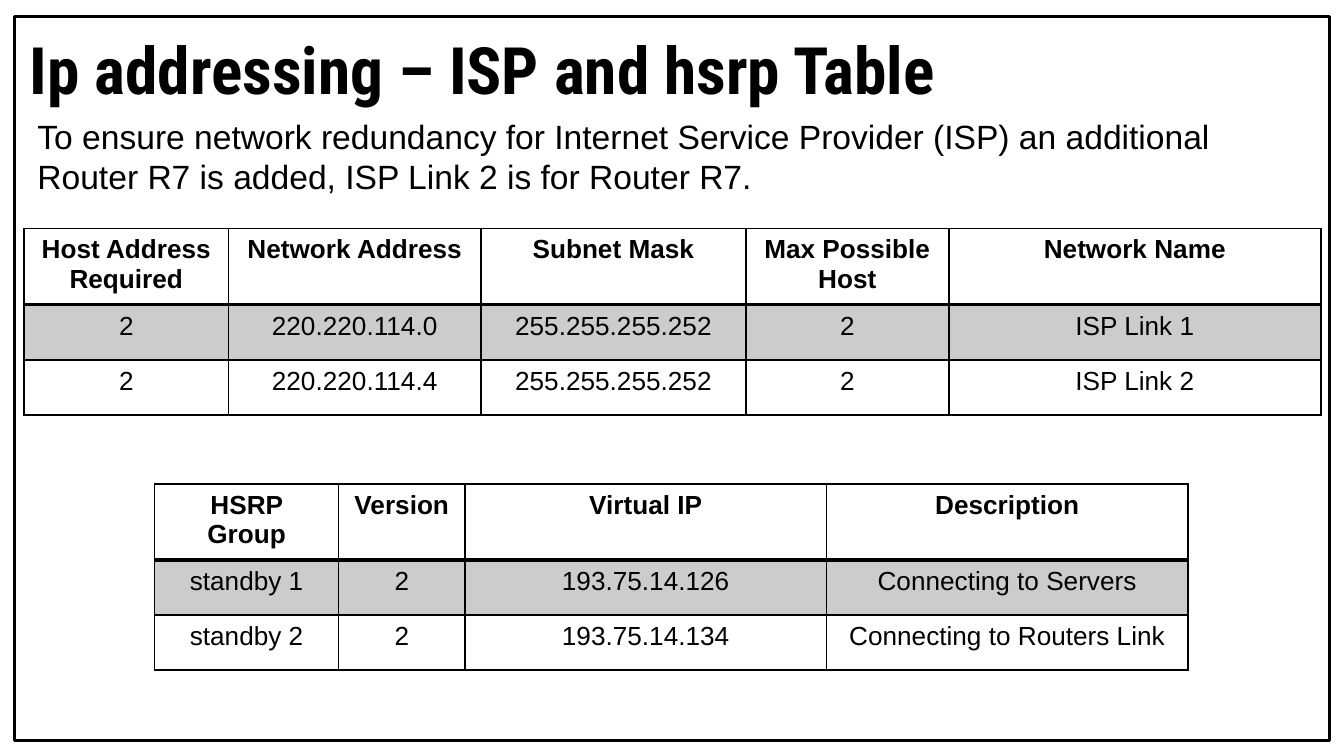
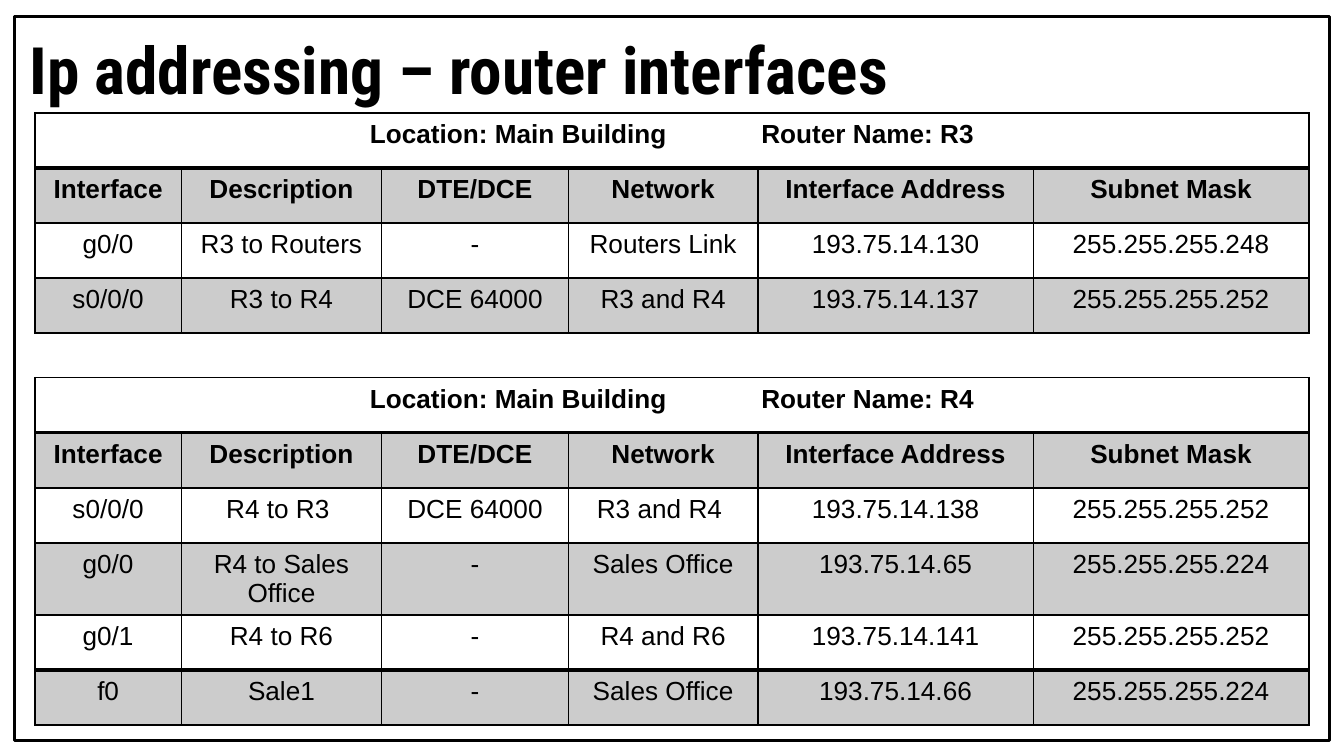
"""Build two slides of IP addressing tables."""
from lxml import etree
from pptx import Presentation
from pptx.dml.color import RGBColor
from pptx.enum import shapes, text
from pptx.oxml import ns
from pptx.util import Inches, Pt

BLACK, WHITE = "000000", "FFFFFF"
BODY_FONT, TITLE_FONT = "Arial", "Roboto Condensed"
ROW_HEIGHT, BAND_ALPHA, BANNER_GAP = 0.41, 20, 46.7
INTERFACE_COLUMNS = [1.09, 1.49, 1.39, 1.41, 2.05, 2.05]
INTERFACE_HEADINGS = ("Interface", "Description", "DTE/DCE", "Network",
                      "Interface Address", "Subnet Mask")

ISP_LINKS = {
    "at": (0.18, 1.7),
    "columns": [1.52, 1.88, 1.97, 1.51, 2.77],
    "headings": ("Host Address Required", "Network Address", "Subnet Mask",
                 "Max Possible Host", "Network Name"),
    "rows": [("2", "220.220.114.0", "255.255.255.252", "2", "ISP Link 1"),
             ("2", "220.220.114.4", "255.255.255.252", "2", "ISP Link 2")],
    "heavy": {0: 2},
    "top_height": 0.54,
}
HSRP_GROUPS = {
    "at": (1.15, 3.6),
    "columns": [1.37, 0.94, 2.69, 2.69],
    "headings": ("HSRP Group", "Version", "Virtual IP", "Description"),
    "rows": [("standby 1", "2", "193.75.14.126", "Connecting to Servers"),
             ("standby 2", "2", "193.75.14.134", "Connecting to Routers Link")],
    "heavy": {0: 2},
    "top_height": 0.56,
}
ROUTER_R3 = {
    "at": (0.26, 0.84),
    "columns": INTERFACE_COLUMNS,
    "banner": ("Location: Main Building", "Router Name: R3"),
    "headings": INTERFACE_HEADINGS,
    "rows": [("g0/0", "R3 to Routers", "-", "Routers Link", "193.75.14.130", "255.255.255.248"),
             ("s0/0/0", "R3 to R4", "DCE 64000", "R3 and R4", "193.75.14.137", "255.255.255.252")],
    "heavy": {0: 2},
}
ROUTER_R4 = {
    "at": (0.26, 2.81),
    "columns": INTERFACE_COLUMNS,
    "banner": ("Location: Main Building", "Router Name: R4"),
    "headings": INTERFACE_HEADINGS,
    "rows": [("s0/0/0", "R4 to R3 ", "DCE 64000", "R3 and R4 ", "193.75.14.138", "255.255.255.252"),
             ("g0/0", "R4 to Sales Office", "-", "Sales Office", "193.75.14.65", "255.255.255.224"),
             ("g0/1", "R4 to R6", "-", "R4 and R6", "193.75.14.141", "255.255.255.252"),
             ("f0", "Sale1", "-", "Sales Office", "193.75.14.66", "255.255.255.224")],
    "heavy": {0: 2, 4: 2.25},
}
SLIDES = [
    {"title": "Ip addressing – ISP and hsrp Table",
     "intro": "To ensure network redundancy for Internet Service Provider (ISP) an additional "
              "Router R7 is added, ISP Link 2 is for Router R7.",
     "tables": [ISP_LINKS, HSRP_GROUPS]},
    {"title": "Ip addressing – router interfaces", "tables": [ROUTER_R3, ROUTER_R4]},
]


def paint(color_format, value):
    color_format.rgb = RGBColor.from_string(value)


def write(paragraph, words, size, font=BODY_FONT, bold=False):
    run = paragraph.add_run()
    run.text = words
    run.font.size, run.font.name, run.font.bold = Pt(size), font, bold
    paint(run.font.color, BLACK)
    return run


def box(left, top, width, height):
    return [Inches(length) for length in (left, top, width, height)]


def add_frame(slide):
    frame = slide.shapes.add_shape(shapes.MSO_SHAPE.RECTANGLE, *box(0.11, 0.12, 9.78, 5.39))
    frame.shadow.inherit = False
    frame.fill.background()
    paint(frame.line.color, BLACK)
    frame.line.width = Pt(1.5)
    slide.slide_layout.shapes._spTree.insert(2, frame._element)


def add_title(slide, words):
    title = slide.shapes.title
    title.left, title.top, title.width, title.height = box(0.12, 0.12, 9.76, 0.69)
    heading = title.text_frame
    heading.margin_left = heading.margin_right = Inches(0.1)
    heading.margin_top = heading.margin_bottom = Inches(0.1)
    heading.auto_size = text.MSO_AUTO_SIZE.NONE
    heading.vertical_anchor = text.MSO_ANCHOR.TOP
    heading.paragraphs[0].alignment = text.PP_ALIGN.LEFT
    write(heading.paragraphs[0], words, 35, TITLE_FONT, True)


def add_intro(slide, words):
    intro = slide.shapes.add_textbox(*box(0.18, 0.81, 9.65, 0.71)).text_frame
    intro.word_wrap = True
    intro.auto_size = text.MSO_AUTO_SIZE.SHAPE_TO_FIT_TEXT
    write(intro.paragraphs[0], words, 18)


def style_cell(cell, banded, top, bottom):
    if banded:
        cell.fill.solid()
        paint(cell.fill.fore_color, BLACK)
        shade = cell._tc.tcPr.find(".//" + ns.qn("a:srgbClr"))
        etree.SubElement(shade, ns.qn("a:alpha"), val=str(BAND_ALPHA * 1000))
    else:
        cell.fill.background()
    borders = {"L": 1, "R": 1, "T": top, "B": bottom}
    for place, (side, width) in enumerate(borders.items()):
        border = etree.Element(ns.qn("a:ln" + side), w=str(Pt(width)))
        ink = etree.SubElement(border, ns.qn("a:solidFill"))
        etree.SubElement(ink, ns.qn("a:srgbClr"), val=BLACK)
        cell._tc.tcPr.insert(place, border)


def write_banner(paragraph, location, router):
    write(paragraph, location, 14, bold=True)
    gap = write(paragraph, " ", 14, bold=True)
    gap.font._element.set("spc", str(round(BANNER_GAP * 100)))
    write(paragraph, router, 14, bold=True)


def add_grid(slide, content):
    columns, banner, heavy = content["columns"], content.get("banner"), content["heavy"]
    lines = [content["headings"], *content["rows"]]
    if banner:
        lines.insert(0, [""] * len(columns))
    heights = [ROW_HEIGHT] * len(lines)
    heights[0] = content.get("top_height", ROW_HEIGHT)
    grid = slide.shapes.add_table(len(lines), len(columns),
                                  *box(*content["at"], sum(columns), sum(heights))).table
    grid.first_row = grid.horz_banding = False
    for column, width in zip(grid.columns, columns):
        column.width = Inches(width)
    for r, line in enumerate(lines):
        grid.rows[r].height = Inches(heights[r])
        for c, words in enumerate(line):
            cell = grid.cell(r, c)
            style_cell(cell, r % 2 == 1, heavy.get(r - 1, 1), heavy.get(r, 1))
            paragraph = cell.text_frame.paragraphs[0]
            paragraph.alignment = text.PP_ALIGN.CENTER
            if words:
                write(paragraph, words, 14, bold=line is content["headings"])
    if banner:
        grid.cell(0, 0).merge(grid.cell(0, len(columns) - 1))
        write_banner(grid.cell(0, 0).text_frame.paragraphs[0], *banner)


def main():
    deck = Presentation()
    deck.slide_width = Inches(10)
    deck.slide_height = deck.slide_width * 9 // 16
    title_only = deck.slide_layouts[5]
    backdrop = deck.slide_master.background.fill
    backdrop.solid()
    paint(backdrop.fore_color, WHITE)
    for number, content in enumerate(SLIDES):
        slide = deck.slides.add_slide(title_only)
        if number == 0:
            add_frame(slide)
        add_title(slide, content["title"])
        if "intro" in content:
            add_intro(slide, content["intro"])
        for table in content["tables"]:
            add_grid(slide, table)
    deck.save("out.pptx")


if __name__ == "__main__":
    main()
